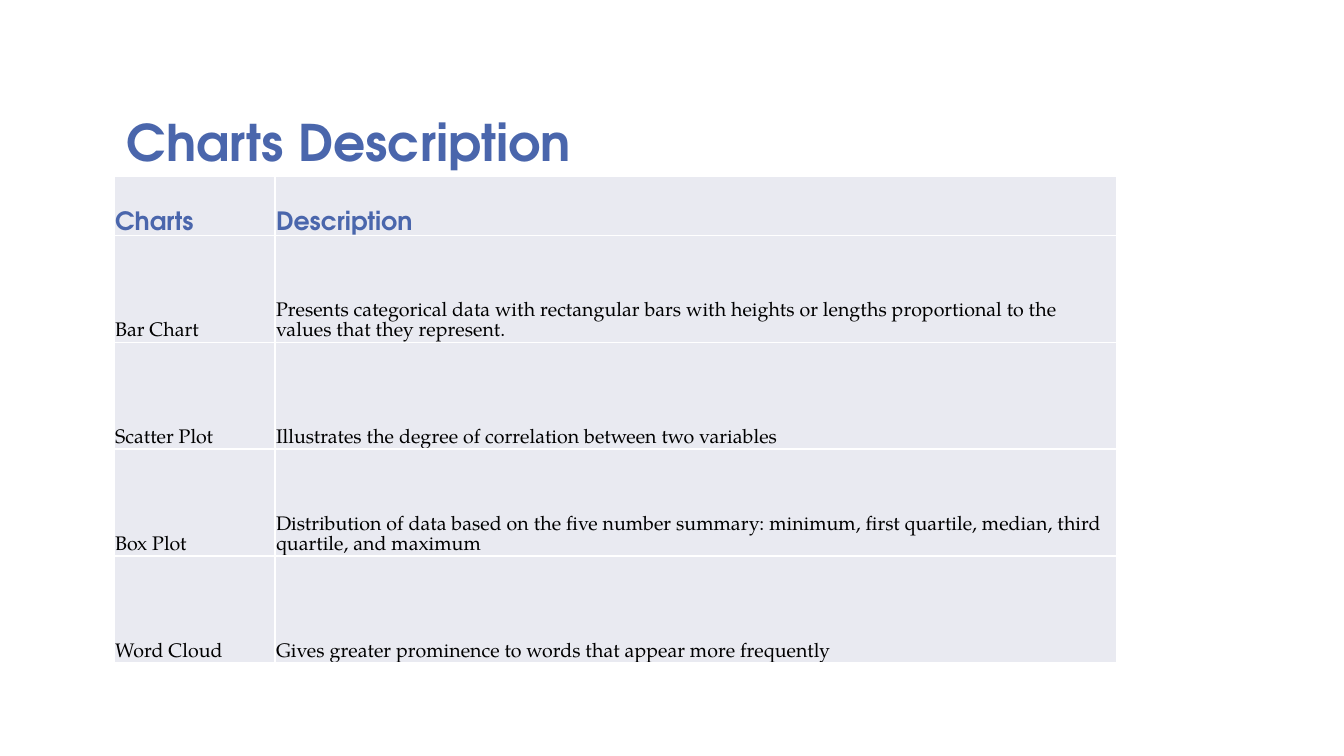
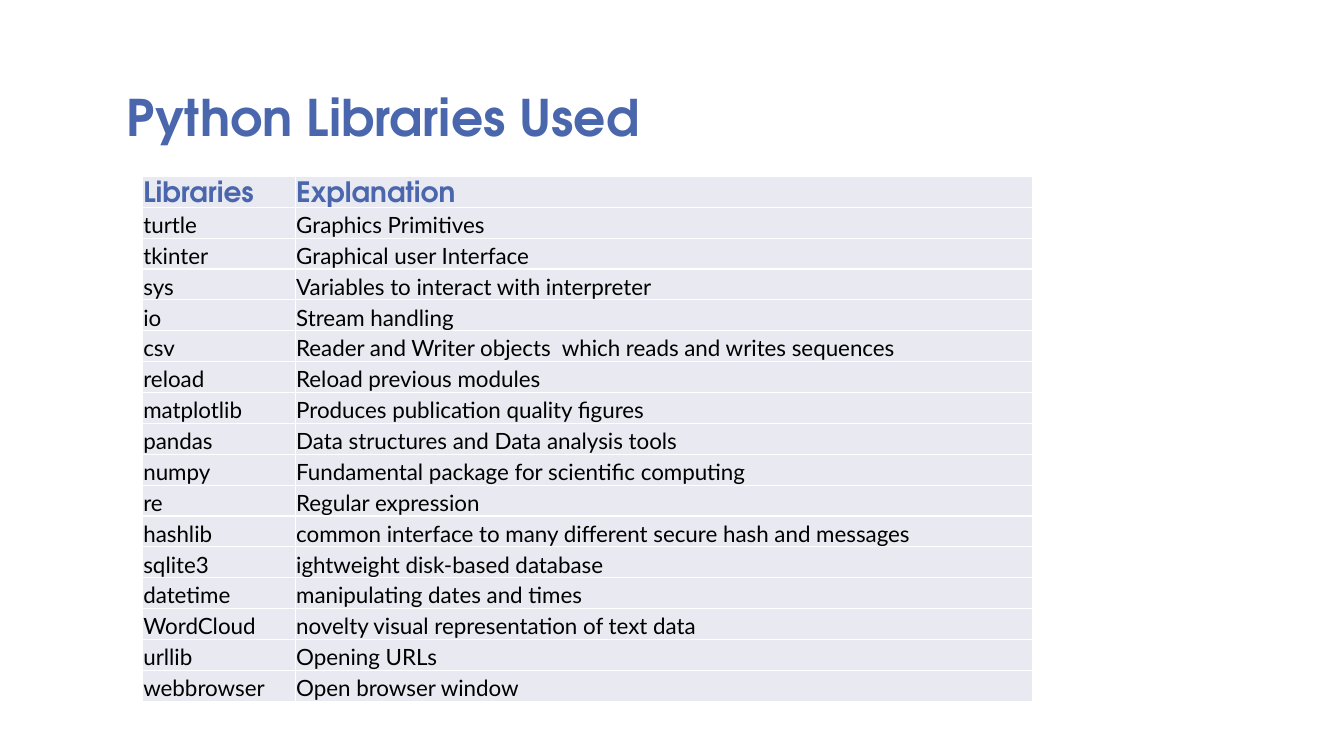
from dataclasses import dataclass

from lxml import etree
from pptx import Presentation
from pptx.dml.color import RGBColor
from pptx.enum.text import MSO_ANCHOR, MSO_AUTO_SIZE, PP_ALIGN
from pptx.oxml.ns import qn
from pptx.util import Pt

BOTTOM = MSO_ANCHOR.BOTTOM
NO_FIT = MSO_AUTO_SIZE.NONE
LEFT = PP_ALIGN.LEFT
TITLE_ONLY = 5


@dataclass(frozen=True)
class Theme:
    accent: str = "4A66AC"
    ink: str = "000000"
    cell: str = "E9EAF1"
    border: str = "FFFFFF"
    border_width: float = 1
    heading_font: str = "TeX Gyre Adventor"
    title_size: float = 36
    title_spacing: float = 0.8


@dataclass(frozen=True)
class TableStyle:
    body_font: str
    header_size: float
    body_size: float
    header_height: float
    row_height: float
    columns: tuple


THEME = Theme()
CELL_FORMAT = {
    "margin_left": Pt(0.7),
    "margin_right": Pt(0.7),
    "margin_top": Pt(0.7),
    "margin_bottom": Pt(0),
    "vertical_anchor": BOTTOM,
}

CHART_STYLE = TableStyle("TeX Gyre Pagella", 18, 14, 42, 76.4, (115, 601.3))
CHARTS = [
    ("Charts", "Description"),
    ("Bar Chart", "Presents categorical data with rectangular bars with heights "
                  "or lengths proportional to the values that they represent."),
    ("Scatter Plot", "Illustrates the degree of correlation between two variables"),
    ("Box Plot", "Distribution of data based on the five number summary: minimum, "
                 "first quartile, median, third quartile, and maximum"),
    ("Word Cloud", "Gives greater prominence to words that appear more frequently"),
]

LIBRARY_STYLE = TableStyle("Lato", 20, 16, 22.06, 22.06, (109.2, 526.8))
LIBRARIES = [
    ("Libraries", "Explanation"),
    ("turtle", "Graphics Primitives"),
    ("tkinter", "Graphical user Interface"),
    ("sys", "Variables to interact with interpreter"),
    ("io", "Stream handling"),
    ("csv", "Reader and Writer objects  which reads and writes sequences"),
    ("reload", "Reload previous modules"),
    ("matplotlib", "Produces publication quality figures"),
    ("pandas", "Data structures and Data analysis tools"),
    ("numpy", "Fundamental package for scientific computing"),
    ("re", "Regular expression"),
    ("hashlib", "common interface to many different secure hash and messages"),
    ("sqlite3", "ightweight disk-based database"),
    ("datetime", "manipulating dates and times"),
    ("WordCloud", "novelty visual representation of text data"),
    ("urllib", "Opening URLs"),
    ("webbrowser", "Open browser window"),
]


def set_attributes(target, values):
    for name, value in values.items():
        setattr(target, name, value)


def set_font(font, name, size, color, bold):
    set_attributes(font, {"name": name, "size": Pt(size), "bold": bold})
    font.color.rgb = RGBColor.from_string(color)


def add_title(slide, text, box):
    """Place the title placeholder in box, resting on its lower edge."""
    title = slide.shapes.title
    set_attributes(title, dict(zip(("left", "top", "width", "height"), map(Pt, box))))
    frame = title.text_frame
    frame.text = text
    set_attributes(frame, {"word_wrap": True, "auto_size": NO_FIT,
                           "vertical_anchor": BOTTOM})
    line = frame.paragraphs[0]
    set_attributes(line, {"alignment": LEFT, "line_spacing": THEME.title_spacing})
    set_font(line.runs[0].font, THEME.heading_font, THEME.title_size,
             THEME.accent, True)


def add_borders(cell):
    properties = cell._tc.get_or_add_tcPr()
    for side in ("a:lnL", "a:lnR", "a:lnT", "a:lnB"):
        edge = etree.SubElement(properties, qn(side),
                                w=str(Pt(THEME.border_width)))
        fill = etree.SubElement(edge, qn("a:solidFill"))
        etree.SubElement(fill, qn("a:srgbClr"), val=THEME.border)


def format_cell(cell, text, font_values):
    cell.text = text
    set_attributes(cell, CELL_FORMAT)
    add_borders(cell)
    cell.fill.solid()
    cell.fill.fore_color.rgb = RGBColor.from_string(THEME.cell)
    set_font(cell.text_frame.paragraphs[0].runs[0].font, *font_values)


def add_glossary(slide, entries, left, top, style):
    """Place a table of terms and meanings with its corner at left, top."""
    heights = [style.header_height] + [style.row_height] * (len(entries) - 1)
    table = slide.shapes.add_table(
        len(entries), len(style.columns), Pt(left), Pt(top),
        Pt(sum(style.columns)), Pt(sum(heights))).table
    table.horz_banding = False
    for column, width in zip(table.columns, style.columns):
        column.width = Pt(width)

    header_font = (THEME.heading_font, style.header_size, THEME.accent, True)
    body_font = (style.body_font, style.body_size, THEME.ink, False)
    for index, (row, height, entry) in enumerate(zip(table.rows, heights, entries)):
        row.height = Pt(height)
        for cell, text in zip(row.cells, entry):
            format_cell(cell, text, body_font if index else header_font)


def add_glossary_slide(deck, title, title_height, entries, table_left, style):
    slide = deck.slides.add_slide(deck.slide_layouts[TITLE_ONLY])
    add_title(slide, title, (83.5, 42, 684, title_height))
    add_glossary(slide, entries, table_left, 126, style)


def main():
    deck = Presentation()
    set_attributes(deck, {"slide_width": Pt(960), "slide_height": Pt(540)})
    add_glossary_slide(deck, "Charts Description", 84, CHARTS, 81.5, CHART_STYLE)
    add_glossary_slide(deck, "Python Libraries Used", 66, LIBRARIES, 101.7,
                       LIBRARY_STYLE)
    deck.save("out.pptx")


if __name__ == "__main__":
    main()
